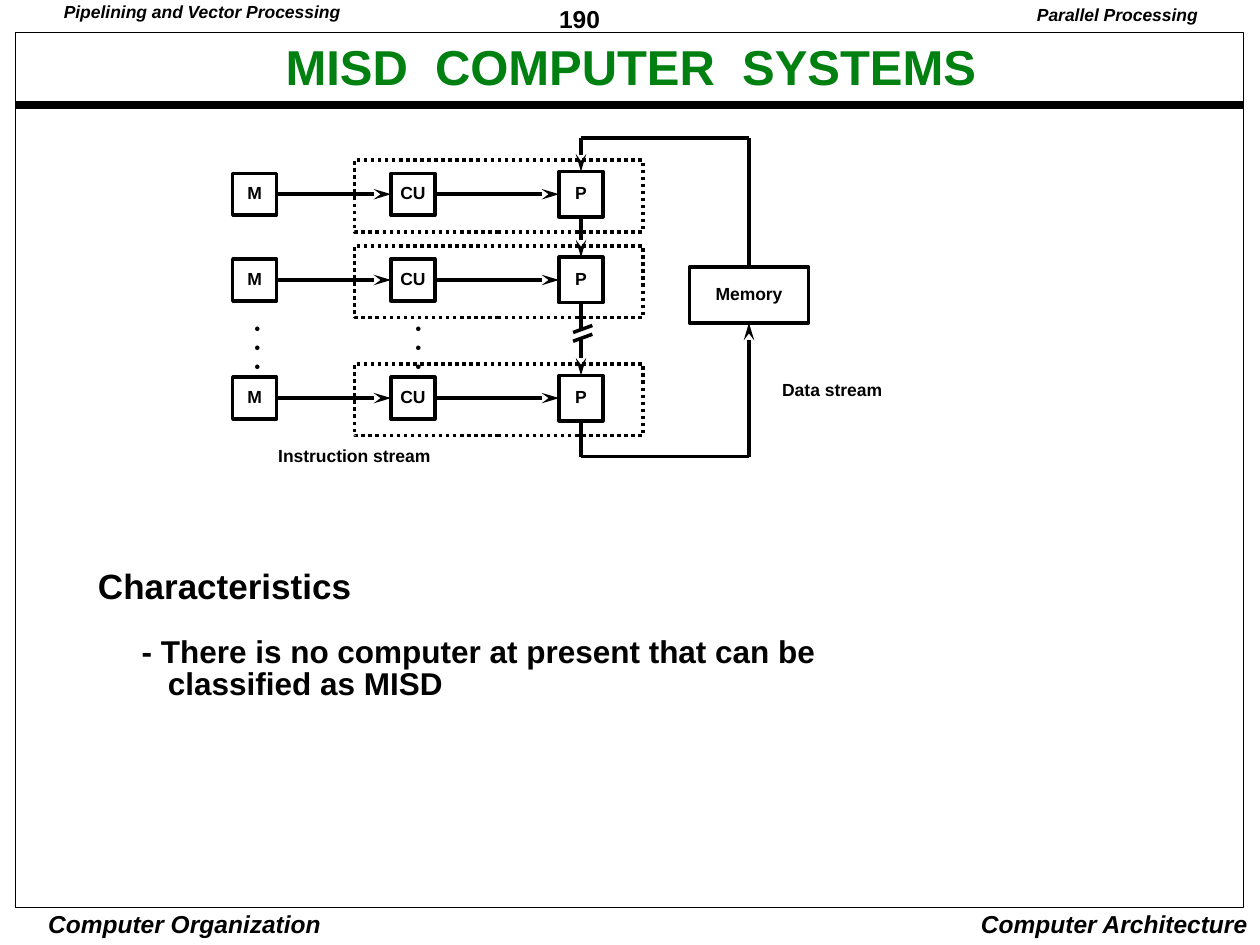
"""Build the MISD computer systems slide: stream diagram plus characteristics."""
from lxml.etree import SubElement
from pptx import Presentation
from pptx.dml.color import RGBColor
from pptx.enum.dml import MSO_LINE
from pptx.enum.shapes import MSO_CONNECTOR, MSO_SHAPE
from pptx.enum.text import MSO_ANCHOR, PP_ALIGN
from pptx.oxml.ns import qn
from pptx.util import Pt

COLORS = {"ink": "000000", "title": "008011", "paper": "FFFFFF"}
TOP, LEFT, BOTTOM, RIGHT = range(4)


def write(frame, lines, size, align=PP_ALIGN.LEFT, spacing=0.9, italic=False,
          color="ink", inset=(5, 2.2), wrap=False):
    frame.word_wrap = wrap
    frame.margin_left = frame.margin_right = Pt(inset[0])
    frame.margin_top = frame.margin_bottom = Pt(inset[1])
    for index, line in enumerate(lines):
        paragraph = frame.add_paragraph() if index else frame.paragraphs[0]
        paragraph.alignment = align
        paragraph.line_spacing = spacing
        run = paragraph.add_run()
        run.text = line
        run.font.name = "Arial"
        run.font.size = Pt(size)
        run.font.bold = True
        run.font.italic = italic
        run.font.color.rgb = RGBColor.from_string(COLORS[color])


def link(start, end, arrow=False, color="ink", width=2, begin=None, finish=None):
    line = slide.shapes.add_connector(MSO_CONNECTOR.STRAIGHT, *map(Pt, start + end))
    if begin:
        line.begin_connect(*begin)
    if finish:
        line.end_connect(*finish)
    line.line.color.rgb = RGBColor.from_string(COLORS[color])
    line.line.width = Pt(width)
    properties = line._element.spPr
    if arrow:
        SubElement(properties.find(qn("a:ln")), qn("a:tailEnd"), type="stealth", w="med", len="lg")
    SubElement(properties, qn("a:effectLst"))


prs = Presentation()
prs.slide_width, prs.slide_height = Pt(720), Pt(540)
slide = prs.slides.add_slide(prs.slide_layouts[5])
shapes = slide.shapes

title = shapes.title
title.left, title.top, title.width, title.height = Pt(40), Pt(12.5), Pt(641), Pt(55)
title.text_frame.vertical_anchor = MSO_ANCHOR.MIDDLE
write(title.text_frame, ["MISD  COMPUTER  SYSTEMS"], 28, PP_ALIGN.CENTER,
      color="title", inset=(7.2, 3.6), wrap=True)

page_frame = shapes.add_shape(MSO_SHAPE.RECTANGLE, Pt(9), Pt(18.5), Pt(701.5), Pt(500))
outlined = [(page_frame, 0.5)]
link((9, 60), (711, 60), width=4.5)

row_middles = [111, 160, 227.5]
columns = [("M", 133, 24), ("CU", 223.5, 24), ("P", 319.5, 26)]
processors = []
for middle in row_middles:
    stages = []
    for label, left, height in columns:
        stage = shapes.add_shape(MSO_SHAPE.RECTANGLE, Pt(left), Pt(middle - height / 2),
                                 Pt(25), Pt(height))
        write(stage.text_frame, [label], 10, PP_ALIGN.CENTER, inset=(0, 0))
        stages.append(stage)
        outlined.append((stage, 2))
    unit = shapes.add_shape(MSO_SHAPE.RECTANGLE, Pt(202.5), Pt(middle - 19.5), Pt(165), Pt(41))
    unit.line.dash_style = MSO_LINE.ROUND_DOT
    outlined.append((unit, 2))
    for source, target in zip(stages, stages[1:]):
        link((0, 0), (0, 0), True, begin=(source, RIGHT), finish=(target, LEFT))
    processors.append(stages[-1])

for upper, lower in zip(processors, processors[1:]):
    link((0, 0), (0, 0), True, begin=(upper, BOTTOM), finish=(lower, TOP))
link((332, 188.5), (332, 193.5), color="paper")
for slash_top in (186, 191):
    link((338.5, slash_top), (327.5, slash_top + 4))

memory = shapes.add_shape(MSO_SHAPE.RECTANGLE, Pt(394), Pt(152.5), Pt(68), Pt(32))
write(memory.text_frame, ["Memory"], 10, PP_ALIGN.CENTER, inset=(0, 0))
outlined.append((memory, 2))

processor_x, memory_x, feed_y, return_y = 332, 428, 79, 261
link((processor_x, feed_y), (processor_x, 98), True, finish=(processors[0], TOP))
link((processor_x, feed_y), (memory_x, feed_y))
link((memory_x, feed_y), (memory_x, 152.5), finish=(memory, TOP))
link((processor_x, 240.5), (processor_x, return_y), begin=(processors[-1], BOTTOM))
link((processor_x, return_y), (memory_x, return_y))
link((memory_x, return_y), (memory_x, 184.5), True, finish=(memory, BOTTOM))

for shape, width in outlined:
    shape.shadow.inherit = False
    shape.fill.background()
    shape.line.color.rgb = RGBColor.from_string(COLORS["ink"])
    shape.line.width = Pt(width)
    shape.text_frame.vertical_anchor = MSO_ANCHOR.MIDDLE

captions = [
    (["190"], (314.5, 0, 78, 21), 14, PP_ALIGN.LEFT, 1.01, False, (5, 2.2)),
    (["Pipelining and Vector Processing"], (31.5, 0, 168.5, 15), 10, PP_ALIGN.LEFT, 0.9, True, (5, 2.2)),
    (["Parallel Processing"], (585, 0, 106.5, 18), 10, PP_ALIGN.RIGHT, 0.9, True, (7.2, 3.6)),
    (["Computer Organization"], (20.5, 518.5, 170, 19), 14, PP_ALIGN.CENTER, 1.0, True, (2.2, 0.7)),
    (["Computer Architecture"], (550, 516, 170, 24), 14, PP_ALIGN.RIGHT, 1.0, True, (7.2, 3.6)),
    (["Instruction stream"], (154, 253.5, 97, 15), 10, PP_ALIGN.LEFT, 0.9, False, (5, 2.2)),
    (["Data stream"], (442, 215.5, 67, 15), 10, PP_ALIGN.LEFT, 0.9, False, (5, 2.2)),
    (["•"] * 3, (140.5, 179.5, 13, 37.5), 9, PP_ALIGN.LEFT, 1.02, False, (5, 2.2)),
    (["•"] * 3, (232.5, 179.5, 13, 37.5), 9, PP_ALIGN.LEFT, 1.02, False, (5, 2.2)),
]
for lines, bounds, size, align, spacing, italic, inset in captions:
    caption = shapes.add_textbox(*map(Pt, bounds))
    write(caption.text_frame, lines, size, align, spacing, italic, inset=inset)

characteristics = shapes.add_textbox(Pt(51), Pt(324), Pt(428), Pt(79))
write(characteristics.text_frame,
      ["Characteristics", "- There is no computer at present that can be classified as MISD"],
      20, spacing=0.85, wrap=True)
statement = characteristics.text_frame.paragraphs[1]
statement.space_before = Pt(18)
statement.runs[0].font.size = Pt(18)
indent = statement._p.get_or_add_pPr()
indent.set("marL", str(Pt(40)))
indent.set("indent", str(-Pt(15)))

prs.save("out.pptx")
